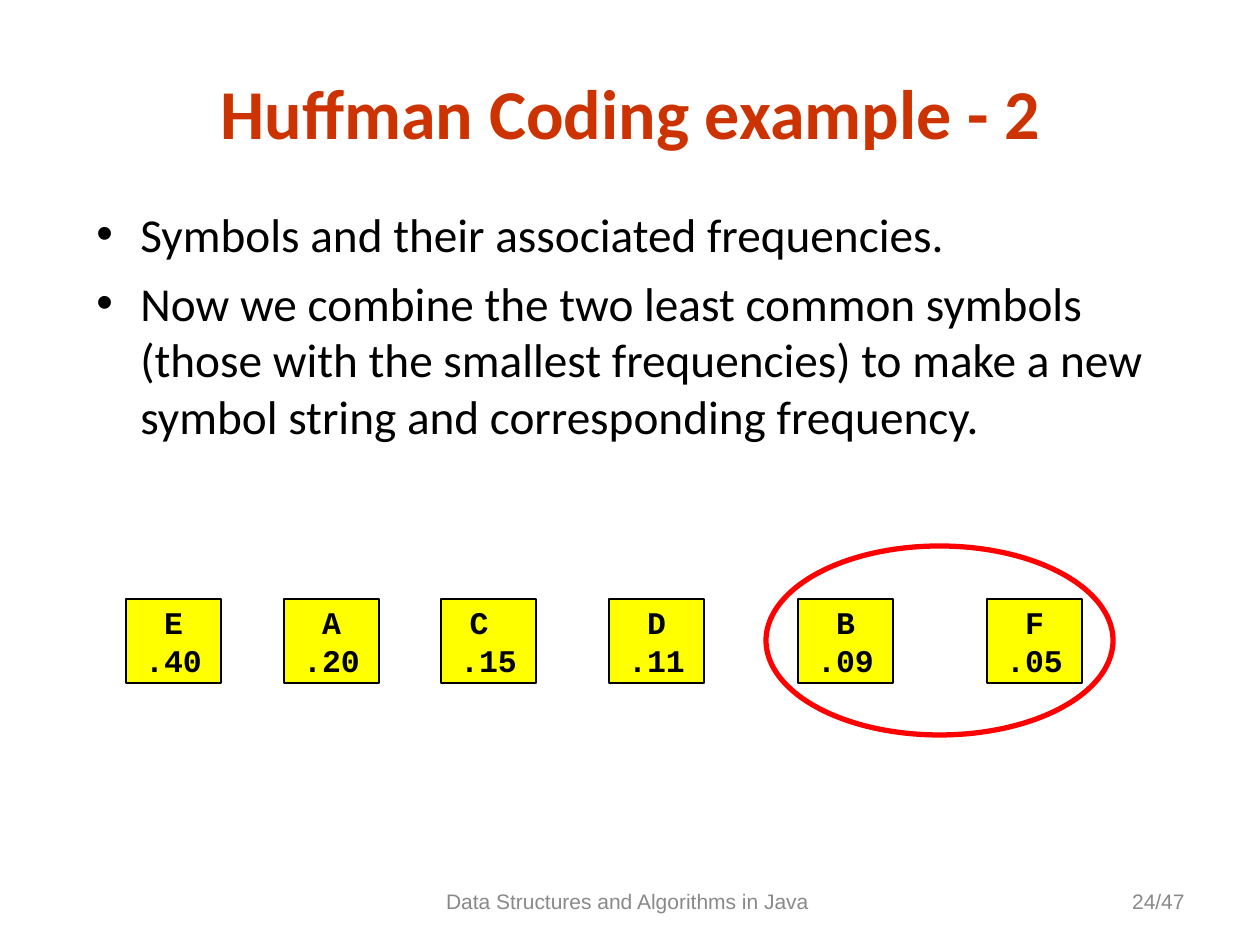
"""Build the Huffman coding slide that marks the two least frequent symbols."""
from dataclasses import dataclass

from lxml import etree
from pptx import Presentation
from pptx.dml.color import RGBColor
from pptx.enum.shapes import MSO_SHAPE
from pptx.enum.text import MSO_ANCHOR, PP_ALIGN
from pptx.oxml.ns import qn
from pptx.util import Pt

EMU_PER_PX = 914400 / 126
RECTANGLE, OVAL = MSO_SHAPE.RECTANGLE, MSO_SHAPE.OVAL
LEFT, CENTER, RIGHT = PP_ALIGN.LEFT, PP_ALIGN.CENTER, PP_ALIGN.RIGHT
TOP, MIDDLE = MSO_ANCHOR.TOP, MSO_ANCHOR.MIDDLE

TITLE_FONT = {"name": "Calibri", "size": Pt(40), "bold": True}
BODY_FONT = {"name": "Calibri", "size": Pt(27)}
SYMBOL_FONT = {"name": "Courier New", "size": Pt(18), "bold": True}
FOOTER_FONT = {"name": "Arial", "size": Pt(12)}


@dataclass(frozen=True)
class Box:
    """A rectangle in px."""
    left: int
    top: int
    width: int
    height: int

    def emu(self) -> tuple[int, ...]:
        """Return the four lengths in EMU."""
        return tuple(px(v) for v in (self.left, self.top, self.width, self.height))


@dataclass(frozen=True)
class Symbol:
    """A symbol, its frequency and the left edge of its tile."""
    letter: str
    frequency: str
    left: int


SYMBOLS = [
    Symbol("E", ".40", 126),
    Symbol("A", ".20", 284),
    Symbol("C ", ".15", 441),
    Symbol("D", ".11", 609),
    Symbol("B", ".09", 798),
    Symbol("F", ".05", 987),
]
POINTS = [
    "Symbols and their associated frequencies.",
    "Now we combine the two least common symbols (those with the smallest "
    "frequencies) to make a new symbol string and corresponding frequency.",
]


def px(length: int) -> int:
    """Turn px into EMU."""
    return round(length * EMU_PER_PX)


def color(hex_code: str) -> RGBColor:
    """Turn a hex string into a colour."""
    return RGBColor.from_string(hex_code)


def write(frame, lines: list[str], font: dict, hex_code: str, align, anchor, wrap: bool) -> None:
    """Fill a text frame with one paragraph per line."""
    frame.word_wrap = wrap
    frame.vertical_anchor = anchor
    for index, line in enumerate(lines):
        paragraph = frame.paragraphs[0] if index == 0 else frame.add_paragraph()
        paragraph.alignment = align
        run = paragraph.add_run()
        run.text = line
        for name, value in font.items():
            setattr(run.font, name, value)
        run.font.color.rgb = color(hex_code)


def add_text(slide, box: Box, lines: list[str], font: dict, hex_code: str, align, anchor=MIDDLE):
    """Add a wrapping text box and return its frame."""
    frame = slide.shapes.add_textbox(*box.emu()).text_frame
    write(frame, lines, font, hex_code, align, anchor, True)
    return frame


def add_outlined(slide, preset, box: Box, line_hex: str, line_width: int):
    """Add an unfilled preset shape with a coloured outline."""
    shape = slide.shapes.add_shape(preset, *box.emu())
    shape.shadow.inherit = False
    shape.fill.background()
    shape.line.color.rgb = color(line_hex)
    shape.line.width = Pt(line_width)
    return shape


def add_symbol(slide, symbol: Symbol) -> None:
    """Draw one yellow symbol tile."""
    tile = add_outlined(slide, RECTANGLE, Box(symbol.left, 599, 95, 84), "000000", 1)
    tile.fill.solid()
    tile.fill.fore_color.rgb = color("FFFF00")
    write(tile.text_frame, [symbol.letter, symbol.frequency], SYMBOL_FONT,
          "000000", CENTER, MIDDLE, False)


def add_bullets(slide, box: Box, points: list[str]) -> None:
    """Add a bulleted list with hanging indents."""
    frame = add_text(slide, box, points, BODY_FONT, "000000", LEFT, TOP)
    for paragraph in frame.paragraphs:
        paragraph.space_before = Pt(6.8)
        properties = paragraph._p.get_or_add_pPr()
        properties.set("marL", str(px(44)))
        properties.set("indent", str(-px(44)))
        etree.SubElement(properties, qn("a:buFont"), typeface="Arial")
        etree.SubElement(properties, qn("a:buChar"), char="•")


def main() -> None:
    """Build and save the slide."""
    deck = Presentation()
    deck.slide_width, deck.slide_height = px(1260), px(945)
    slide = deck.slides.add_slide(deck.slide_layouts[6])
    add_text(slide, Box(431, 876, 399, 50), ["Data Structures and Algorithms in Java "],
             FOOTER_FONT, "898989", CENTER)
    add_text(slide, Box(903, 876, 294, 50), ["24/47"], FOOTER_FONT, "898989", RIGHT)
    for symbol in SYMBOLS:
        add_symbol(slide, symbol)
    add_bullets(slide, Box(84, 199, 1071, 252), POINTS)
    add_outlined(slide, OVAL, Box(766, 546, 347, 189), "FF0000", 3)
    add_text(slide, Box(95, 63, 1071, 97), ["Huffman Coding example - 2"],
             TITLE_FONT, "CC3300", CENTER)
    deck.save("out.pptx")


if __name__ == "__main__":
    main()
